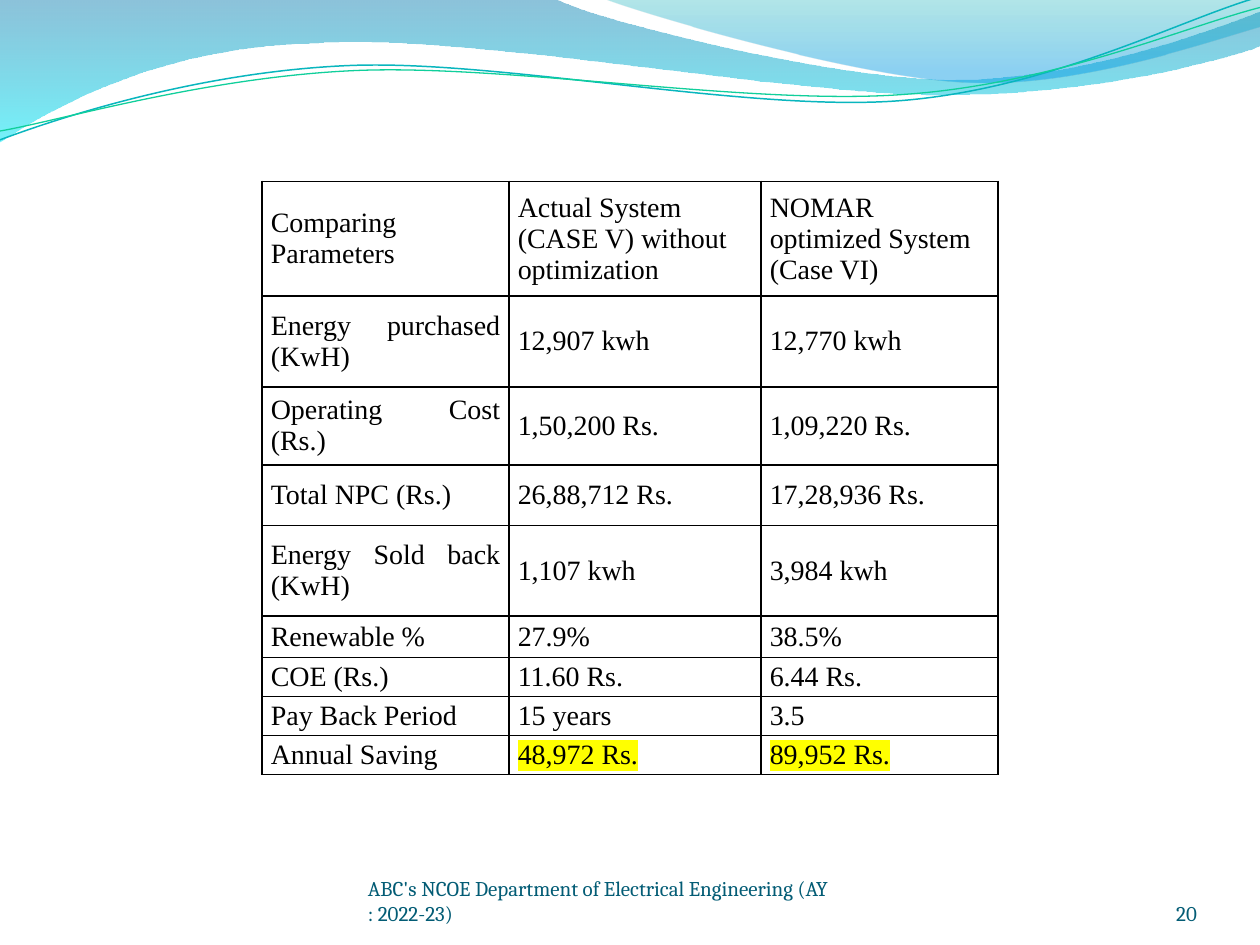
from dataclasses import dataclass
from math import cos, radians, sin
from typing import NamedTuple

from lxml.etree import SubElement
from pptx import Presentation
from pptx.dml.color import RGBColor
from pptx.enum.text import MSO_ANCHOR, PP_ALIGN
from pptx.oxml import parse_xml
from pptx.oxml.ns import nsdecls, qn
from pptx.util import Inches, Pt


@dataclass(frozen=True)
class Theme:
    text: str = "000000"
    footer: str = "035C75"
    border: str = "000000"
    highlight: str = "FFFF00"
    teal: str = "09B6BE"
    green: str = "10CF9B"
    table_font: str = "Times New Roman"
    footer_font: str = "Cambria"
    table_size: float = 16
    footer_size: float = 12
    border_width: float = 1


class Stop(NamedTuple):
    pos: int
    color: str
    opacity: int


class Wave(NamedTuple):
    start: tuple
    segments: list
    stops: tuple = ()
    line: str = ""
    width: float = 0
    tilt: float = 0
    center: tuple = (0, 0)


class Footer(NamedTuple):
    text: str
    left: float
    width: float
    align: PP_ALIGN


THEME = Theme()
LINE_TILT = -2.7

WAVES = [
    Wave((0, 0), [
        (4.4, -0.01),
        (4.76, 0.17, 6.64, 0.63, 7.58, 0.63),
        (8.53, 0.63, 9.58, 0.26, 10, 0.09),
        (10.01, 0.36),
        (9.83, 0.44, 8.7, 0.76, 7.46, 0.75),
        (6.22, 0.75, 3.82, 0.28, 2.57, 0.34),
        (1.29, 0.36, 0.46, 0.83, -0.01, 1.13),
        (0, 0),
    ], stops=(Stop(0, "0079AD", 45), Stop(100, "00E9F7", 55))),
    Wave((4.79, -0.01), [
        (5.09, 0.11, 6.82, 0.62, 7.69, 0.65),
        (8.56, 0.69, 9.61, 0.32, 10, 0.21),
        (10, 0),
        (4.79, -0.01),
    ], stops=(Stop(0, "00ABB4", 30), Stop(80, "0099E4", 45), Stop(100, "0099E4", 45))),
    Wave((0, 1.11), [
        (0.48, 0.93, 1.58, 0.57, 2.77, 0.52),
        (3.95, 0.47, 5.93, 0.89, 7.13, 0.8),
        (8.33, 0.71, 9.38, 0.15, 9.98, -0.02),
    ], line=THEME.teal, width=0.85, tilt=LINE_TILT, center=(4.99, 0.58)),
    Wave((0, 1.04), [
        (0.47, 0.96, 1.64, 0.61, 2.83, 0.56),
        (4.03, 0.51, 5.97, 0.84, 7.17, 0.75),
        (8.36, 0.67, 9.41, 0.21, 10, 0.06),
    ], line=THEME.green, width=0.75, tilt=LINE_TILT, center=(5, 0.59)),
]

FOOTERS = [
    Footer("ABC's NCOE Department of Electrical Engineering (AY : 2022-23)",
           2.92, 3.67, PP_ALIGN.LEFT),
    Footer("20", 8.67, 0.83, PP_ALIGN.RIGHT),
]

COL_WIDTHS = [1.96, 2, 1.88]
ROW_HEIGHTS = [0.91, 0.72, 0.62, 0.48, 0.72, 0.33, 0.31, 0.31, 0.31]
ROWS = [
    ("Comparing Parameters", "Actual System (CASE V) without optimization",
     "NOMAR optimized System\n(Case VI)"),
    ("Energy purchased (KwH)", "12,907 kwh", "12,770 kwh"),
    ("Operating Cost (Rs.)", "1,50,200 Rs.", "1,09,220 Rs."),
    ("Total NPC (Rs.)", "26,88,712 Rs.", "17,28,936 Rs."),
    ("Energy Sold back (KwH)", "1,107 kwh", "3,984 kwh"),
    ("Renewable %", "27.9%", "38.5%"),
    ("COE (Rs.)", "11.60 Rs.", "6.44 Rs."),
    ("Pay Back Period", "15 years", "3.5"),
    ("Annual Saving", "48,972 Rs.", "89,952 Rs."),
]


def level(point: tuple, wave: Wave) -> tuple:
    angle = radians(-wave.tilt)
    cx, cy = wave.center
    dx, dy = point[0] - cx, point[1] - cy
    return (Inches(cx + dx * cos(angle) - dy * sin(angle)),
            Inches(cy + dx * sin(angle) + dy * cos(angle)))


def bend(sp, segments: list) -> None:
    outline = next(sp.element.iter(qn("a:path")))
    corners = iter(outline.findall(qn("a:lnTo")))
    for segment in segments:
        steps = [next(corners) for _ in range(len(segment) // 2)]
        if len(steps) == 3:
            curve = parse_xml(f'<a:cubicBezTo {nsdecls("a")}/>')
            steps[0].addprevious(curve)
            for step in steps:
                curve.append(step[0])
                outline.remove(step)


def gradient(stops: tuple):
    items = "".join(
        f'<a:gs pos="{s.pos * 1000}"><a:srgbClr val="{s.color}">'
        f'<a:alpha val="{s.opacity * 1000}"/></a:srgbClr></a:gs>' for s in stops)
    return parse_xml(f'<a:gradFill {nsdecls("a")} rotWithShape="1"><a:gsLst>{items}</a:gsLst>'
                     '<a:lin ang="5400000" scaled="0"/></a:gradFill>')


def add_wave(shapes, wave: Wave) -> None:
    pairs = [pair for seg in wave.segments for pair in zip(seg[::2], seg[1::2])]
    builder = shapes.build_freeform(*level(wave.start, wave))
    builder.add_line_segments([level(pair, wave) for pair in pairs], close=bool(wave.stops))
    sp = builder.convert_to_shape()
    bend(sp, wave.segments)
    sp.rotation = wave.tilt
    sp.shadow.inherit = False
    if wave.stops:
        sp.fill.gradient()
        old = sp.element.spPr.find(qn("a:gradFill"))
        old.getparent().replace(old, gradient(wave.stops))
        sp.line.fill.background()
    else:
        sp.fill.background()
        sp.line.color.rgb = RGBColor.from_string(wave.line)
        sp.line.width = Pt(wave.width)


def style(p, font: str, size: float, color: str, align: PP_ALIGN) -> None:
    p.alignment = align
    p.font.name = font
    p.font.size = Pt(size)
    p.font.color.rgb = RGBColor.from_string(color)


def add_footer(shapes, footer: Footer) -> None:
    sp = shapes.add_textbox(Inches(footer.left), Inches(6.95), Inches(footer.width), Inches(0.4))
    tf = sp.text_frame
    tf.word_wrap = True
    tf.vertical_anchor = MSO_ANCHOR.BOTTOM
    tf.margin_left = tf.margin_right = tf.margin_top = tf.margin_bottom = 0
    tf.text = footer.text
    style(tf.paragraphs[0], THEME.footer_font, THEME.footer_size, THEME.footer, footer.align)


def add_borders(cell) -> None:
    tc_pr = cell._tc.get_or_add_tcPr()
    for i, side in enumerate(("lnL", "lnR", "lnT", "lnB")):
        tc_pr.insert(i, parse_xml(
            f'<a:{side} {nsdecls("a")} w="{Pt(THEME.border_width)}"><a:solidFill>'
            f'<a:srgbClr val="{THEME.border}"/></a:solidFill></a:{side}>'))


def fill_cell(cell, text: str, align: PP_ALIGN, marked: bool) -> None:
    cell.fill.background()
    cell.vertical_anchor = MSO_ANCHOR.MIDDLE
    cell.margin_left = cell.margin_right = Inches(0.07)
    cell.margin_top = cell.margin_bottom = 0
    cell.text = text
    for p in cell.text_frame.paragraphs:
        style(p, THEME.table_font, THEME.table_size, THEME.text, align)
        if marked:
            for r in p.runs:
                mark = SubElement(r._r.get_or_add_rPr(), qn("a:highlight"))
                SubElement(mark, qn("a:srgbClr"), val=THEME.highlight)
    add_borders(cell)


def add_comparison(shapes) -> None:
    table = shapes.add_table(len(ROWS), len(COL_WIDTHS), Inches(2.08), Inches(1.44),
                             Inches(sum(COL_WIDTHS)), Inches(sum(ROW_HEIGHTS))).table
    table.first_row = table.horz_banding = False
    for column, width in zip(table.columns, COL_WIDTHS):
        column.width = Inches(width)
    for i, (row, height) in enumerate(zip(table.rows, ROW_HEIGHTS)):
        row.height = Inches(height)
        for j, text in enumerate(ROWS[i]):
            align = PP_ALIGN.JUSTIFY if j == 0 or i > 1 else PP_ALIGN.LEFT
            fill_cell(table.cell(i, j), text, align, j > 0 and i == len(ROWS) - 1)


def main() -> None:
    prs = Presentation()
    prs.slide_width, prs.slide_height = Inches(10), Inches(7.5)
    s = prs.slides.add_slide(prs.slide_layouts[6])
    for wave in WAVES:
        add_wave(s.shapes, wave)
    for footer in FOOTERS:
        add_footer(s.shapes, footer)
    add_comparison(s.shapes)
    prs.save("out.pptx")


if __name__ == "__main__":
    main()
